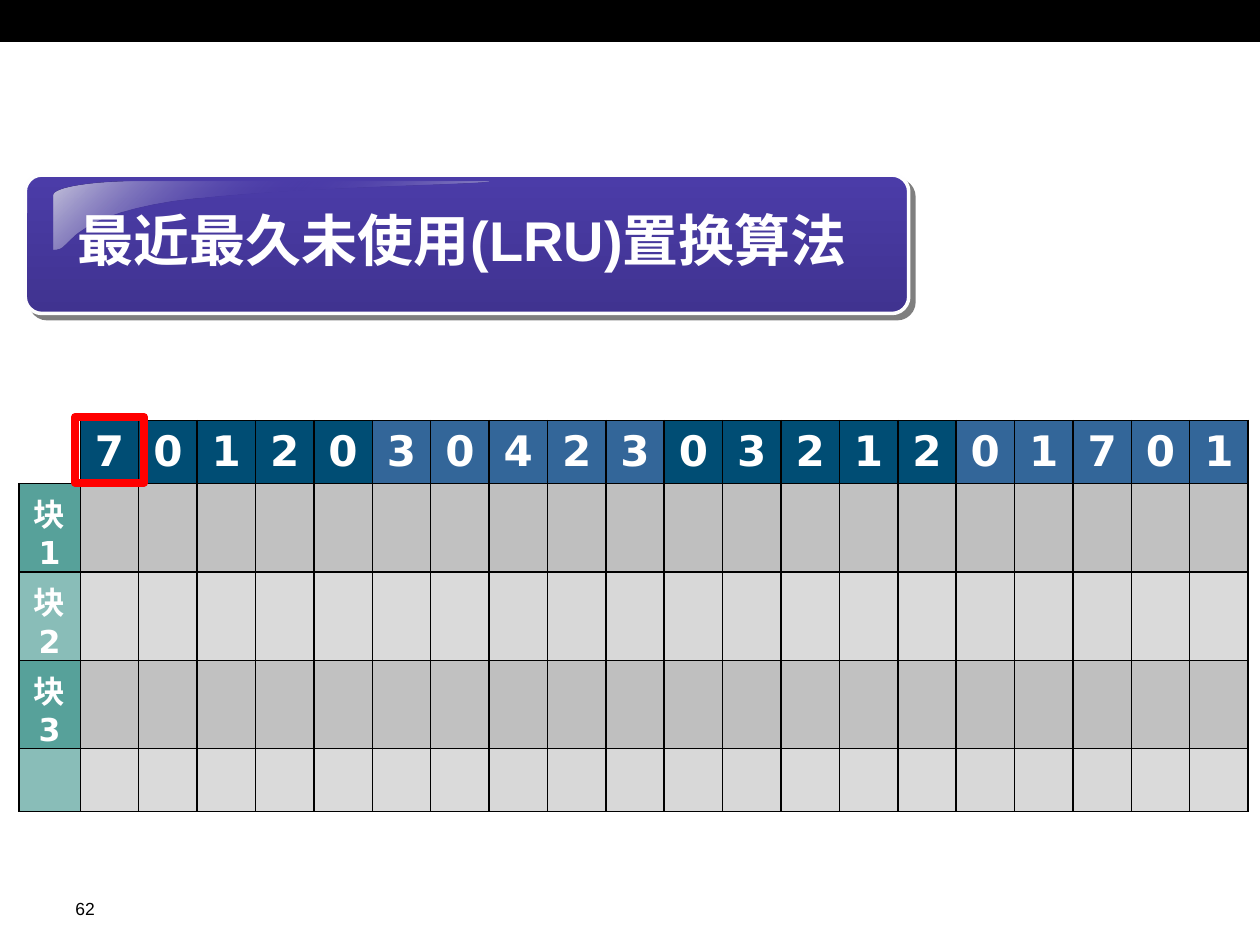
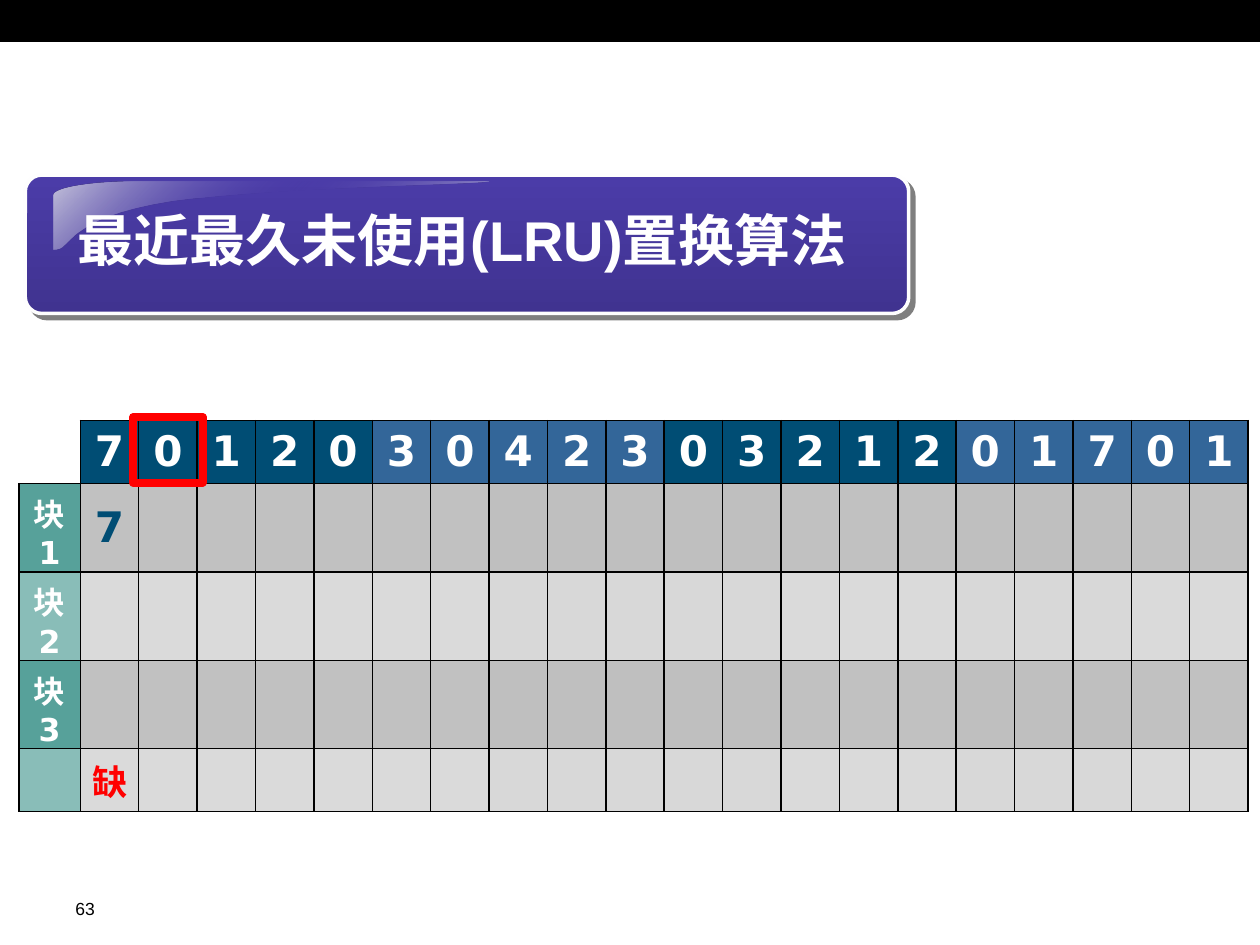
from lxml import etree
from pptx import Presentation
from pptx import util as u
from pptx.dml.color import RGBColor
from pptx.enum import shapes, text
from pptx.oxml import ns

# Content
TITLE = "最近最久未使用(LRU)置换算法"
REFERENCES = [7, 0, 1, 2, 0, 3, 0, 4, 2, 3, 0, 3, 2, 1, 2, 0, 1, 7, 0, 1]
ROW_LABELS = ["块1", "块2", "块3", ""]
# "entries" maps (table row, table column) to what has been filled in so far
STEPS = [
    {"number": "62", "current": 1, "entries": {}},
    {"number": "63", "current": 2,
     "entries": {(1, 1): ("7", "loaded"), (4, 1): ("缺", "fault")}},
]


class Theme:
    black, white, red = "000000", "FFFFFF", "FF0000"
    navy, blue, teal, grey = "004D74", "336699", "57A19A", "B2B2B2"
    panel_line = "FEFEFE"
    panel_stops = [(0, "4B3CA8", 100), (100, "403390", 100)]
    gloss_stops = [(0, "C4C2DA", 100), (50, "4B3CA8", 0), (100, "C4C2DA", 100)]
    text_styles = {
        "title": {"name": "Arial", "size": u.Pt(32), "bold": True, "color": white},
        "number": {"name": "Arial", "size": u.Pt(10), "bold": False, "color": black},
        "reference": {"name": "DejaVu Sans", "size": u.Pt(24), "bold": True, "color": white},
        "label": {"name": "DejaVu Sans", "size": u.Pt(18), "bold": True, "color": white},
        "loaded": {"name": "DejaVu Sans", "size": u.Pt(24), "bold": True, "color": navy},
        "fault": {"name": "DejaVu Sans", "size": u.Pt(20), "bold": True, "color": red},
    }


# Layout, in centimetres
SLIDE_SIZE = (25.4, 19.05)
BAND = (0, 0.02, 25.4, 0.82)
NUMBER_BOX = (1.27, 17.98, 1.7, 0.64)
PANEL = (0.51, 3.53, 17.81, 2.79)
TITLE_BOX = (0.74, 4.01, 17.17, 1.6)
TABLE_LEFT, TABLE_TOP, TABLE_WIDTH = 0.38, 8.48, 24.79
LABEL_WIDTH = 1.24
STEP_WIDTH = (TABLE_WIDTH - LABEL_WIDTH) / len(REFERENCES)
ROW_HEIGHTS = [1.27, 1.78, 1.78, 1.78, 1.27]
MARKER_TOP, MARKER_WIDTH, MARKER_HEIGHT = 8.41, 1.4, 1.32
# Each gloss curve: start, two control points, end
GLOSS_CURVES = [
    [(2.84, 3.66), (1.88, 3.66), (1.09, 3.78), (1.09, 3.94)],
    [(1.09, 5.03), (1.5, 5.05), (1.27, 4.39), (3.48, 4.06)],
    [(3.48, 4.06), (5.69, 3.76), (9.96, 3.73), (9.86, 3.66)],
]


def cm(values):
    return [u.Cm(value) for value in values]


def add_xml(parent, tag, **attributes):
    return etree.SubElement(parent, ns.qn(tag),
                            {key: str(value) for key, value in attributes.items()})


def add_color(parent, color, opacity=100):
    node = add_xml(parent, "a:srgbClr", val=color)
    if opacity < 100:
        add_xml(node, "a:alpha", val=opacity * 1000)


def write(frame, words, style, align=None):
    paragraph = frame.paragraphs[0]
    paragraph.alignment = align
    run = paragraph.add_run()
    run.text = words
    for key, value in Theme.text_styles[style].items():
        if key == "color":
            run.font.color.rgb = RGBColor.from_string(value)
        else:
            setattr(run.font, key, value)


def fill_solid(target, color, opacity=100):
    target.fill.solid()
    target.fill.fore_color.rgb = RGBColor.from_string(color)
    if opacity < 100:
        add_xml(target.fill.fore_color._xFill[0], "a:alpha", val=opacity * 1000)


def fill_gradient(shape, stops, angle):
    shape.fill.gradient()
    shape.fill.gradient_angle = 360 - angle
    stop_list = shape._element.spPr.find(ns.qn("a:gradFill")).find(ns.qn("a:gsLst"))
    for old_stop in list(stop_list):
        stop_list.remove(old_stop)
    for position, color, opacity in stops:
        add_color(add_xml(stop_list, "a:gs", pos=position * 1000), color, opacity)


def set_line(shape, color, width):
    shape.line.color.rgb = RGBColor.from_string(color)
    shape.line.width = u.Pt(width)


def add_panel(parent, kind, box):
    shape = parent.add_shape(kind, *cm(box))
    shape.shadow.inherit = False
    return shape


def add_text(parent, box, words, style, align=None):
    frame = parent.add_textbox(*cm(box)).text_frame
    frame.word_wrap = True
    write(frame, words, style, align)


def curve_points(start, first, second, end, steps=16):
    for step in range(steps + 1):
        t = step / steps
        weights = ((1 - t) ** 3, 3 * t * (1 - t) ** 2, 3 * t * t * (1 - t), t ** 3)
        yield tuple(u.Cm(sum(weight * point[axis] for weight, point
                             in zip(weights, (start, first, second, end))))
                    for axis in (0, 1))


def add_title(slide):
    group = slide.shapes.add_group_shape().shapes
    # Raised panel with an offset shadow
    panel = add_panel(group, shapes.MSO_SHAPE.ROUNDED_RECTANGLE, PANEL)
    panel.adjustments[0] = 0.12
    fill_gradient(panel, Theme.panel_stops, 90)
    set_line(panel, Theme.panel_line, 2)
    effects = panel._element.spPr.find(ns.qn("a:effectLst"))
    shadow = add_xml(effects, "a:outerShdw", blurRad=0, dist=u.Pt(4.2),
                     dir=45 * 60000, algn="ctr", rotWithShape=0)
    add_color(shadow, Theme.black, 50)
    # Gloss in the upper left corner
    points = [point for curve in GLOSS_CURVES for point in curve_points(*curve)]
    builder = group.build_freeform(*points[0])
    builder.add_line_segments(points[1:], close=True)
    gloss = builder.convert_to_shape()
    gloss.shadow.inherit = False
    fill_gradient(gloss, Theme.gloss_stops, 45)
    gloss.line.fill.background()
    add_text(group, TITLE_BOX, TITLE, "title", text.PP_ALIGN.CENTER)


def set_borders(cell, sides):
    properties = cell._tc.get_or_add_tcPr()
    for index, side in enumerate(sides):
        line = etree.Element(ns.qn(f"a:ln{side}"), w=str(u.Pt(1)))
        add_color(add_xml(line, "a:solidFill"), Theme.black)
        properties.insert(index, line)


def cell_fill(row, column):
    """Return the colour and opacity of a cell other than the empty corner."""
    odd_row = row % 2 == 1
    if row == 0:
        return (Theme.blue if (column - 1) // 5 % 2 else Theme.navy), 100
    if column == 0:
        return Theme.teal, 100 if odd_row else 70
    denser = 8 <= column <= 12 or 16 <= column <= 18
    return Theme.grey, (80 if odd_row else 48) + (2 if denser else 0)


def add_page_table(slide, entries):
    contents = {(0, column): (str(page), "reference")
                for column, page in enumerate(REFERENCES, 1)}
    contents.update({(row, 0): (label, "label")
                     for row, label in enumerate(ROW_LABELS, 1) if label})
    contents.update(entries)
    table = slide.shapes.add_table(
        len(ROW_HEIGHTS), len(REFERENCES) + 1,
        *cm((TABLE_LEFT, TABLE_TOP, TABLE_WIDTH, sum(ROW_HEIGHTS)))).table
    table.first_row = table.horz_banding = False
    for index, column in enumerate(table.columns):
        column.width = u.Cm(STEP_WIDTH if index else LABEL_WIDTH)
    for row_index, height in enumerate(ROW_HEIGHTS):
        table.rows[row_index].height = u.Cm(height)
        for column_index in range(len(REFERENCES) + 1):
            place = row_index, column_index
            cell = table.cell(*place)
            if place == (0, 0):
                cell.fill.background()
                set_borders(cell, "RB")
                continue
            fill_solid(cell, *cell_fill(*place))
            set_borders(cell, "LRTB")
            cell.vertical_anchor = text.MSO_ANCHOR.MIDDLE
            if place in contents:
                write(cell.text_frame, *contents[place], text.PP_ALIGN.CENTER)


def add_marker(slide, column):
    centre = TABLE_LEFT + LABEL_WIDTH + (column - 0.5) * STEP_WIDTH
    marker = add_panel(slide.shapes, shapes.MSO_SHAPE.RECTANGLE,
                       (centre - MARKER_WIDTH / 2, MARKER_TOP, MARKER_WIDTH, MARKER_HEIGHT))
    marker.fill.background()
    set_line(marker, Theme.red, 4.5)


def add_step(presentation, step):
    slide = presentation.slides.add_slide(presentation.slide_layouts[6])
    band = add_panel(slide.shapes, shapes.MSO_SHAPE.RECTANGLE, BAND)
    fill_solid(band, Theme.black)
    set_line(band, Theme.black, 0.75)
    add_text(slide.shapes, NUMBER_BOX, step["number"], "number")
    add_page_table(slide, step["entries"])
    add_marker(slide, step["current"])
    add_title(slide)


def main():
    presentation = Presentation()
    presentation.slide_width, presentation.slide_height = cm(SLIDE_SIZE)
    for step in STEPS:
        add_step(presentation, step)
    presentation.save("out.pptx")


if __name__ == "__main__":
    main()
